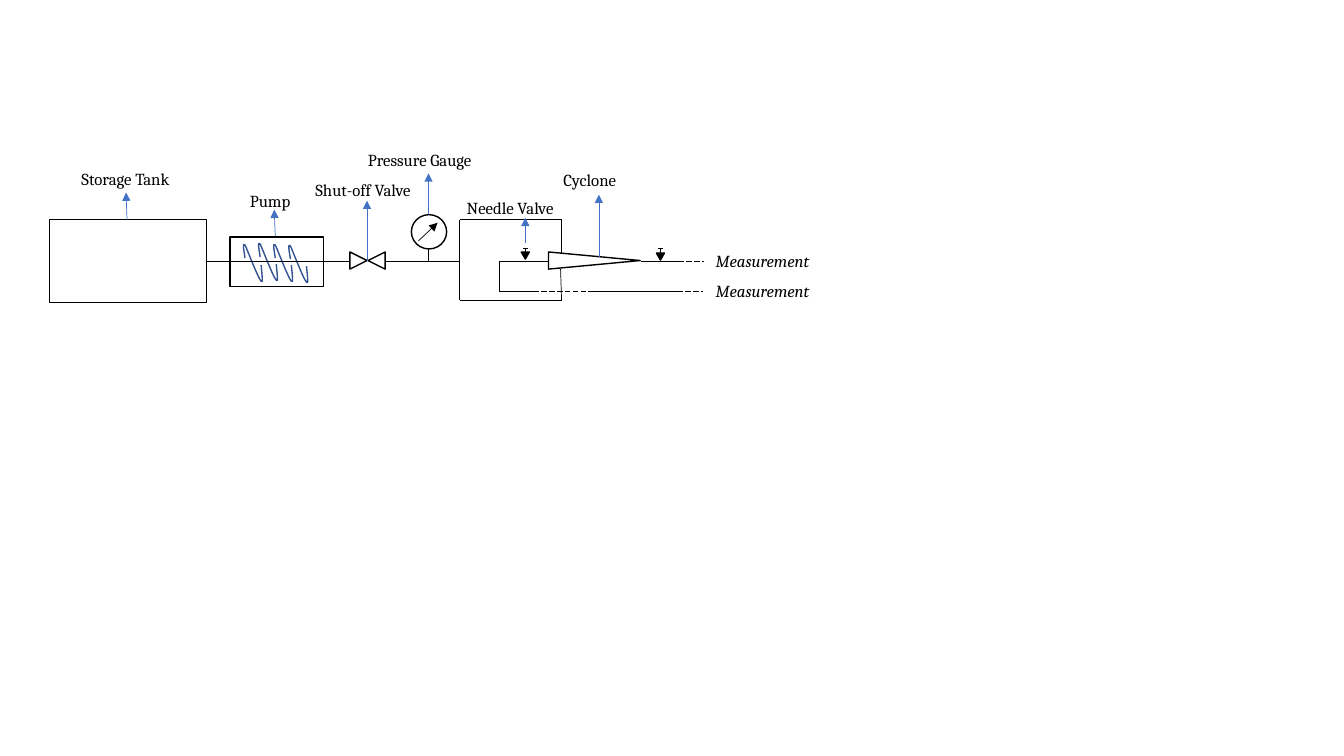
from dataclasses import dataclass

import pptx
import pptx.dml.color
import pptx.enum.dml
import pptx.enum.shapes
import pptx.enum.text
import pptx.oxml.ns
import pptx.util
from lxml import etree

Inches = pptx.util.Inches
Pt = pptx.util.Pt
qn = pptx.oxml.ns.qn
Preset = pptx.enum.shapes.MSO_SHAPE
Point = tuple[float, float]

BLACK, COIL_BLUE, POINTER_BLUE = "000000", "325491", "4472C4"
PIPE_Y, RETURN_Y = 2.59, 2.89


@dataclass
class Part:
    preset: Preset
    left: float
    top: float
    width: float
    height: float
    rotation: float = 0
    fill: str | None = None


@dataclass
class Line:
    start: Point
    end: Point
    color: str = BLACK
    arrow: bool = False
    dashed: bool = False


@dataclass
class Label:
    text: str
    left: float
    top: float
    width: float
    italic: bool = False


def rgb(color: str) -> pptx.dml.color.RGBColor:
    return pptx.dml.color.RGBColor.from_string(color)


def style_outline(shape, color: str, fill: str | None = None) -> None:
    shape.shadow.inherit = False
    if fill:
        shape.fill.solid()
        shape.fill.fore_color.rgb = rgb(fill)
    else:
        shape.fill.background()
    shape.line.color.rgb = rgb(color)
    shape.line.width = Pt(1)


def draw_part(shapes, part: Part) -> None:
    box = (Inches(v) for v in (part.left, part.top, part.width, part.height))
    shape = shapes.add_shape(part.preset, *box)
    shape.rotation = part.rotation
    style_outline(shape, BLACK, part.fill)


def draw_line(shapes, line: Line) -> None:
    connector = shapes.add_connector(
        pptx.enum.shapes.MSO_CONNECTOR.STRAIGHT,
        *(Inches(v) for v in (*line.start, *line.end)),
    )
    connector.line.color.rgb = rgb(line.color)
    connector.line.width = Pt(0.5)
    if line.dashed:
        connector.line.dash_style = pptx.enum.dml.MSO_LINE.LONG_DASH
    properties = connector.element.find(qn("p:spPr"))
    if line.arrow:
        etree.SubElement(properties.find(qn("a:ln")), qn("a:tailEnd"), type="triangle")
    etree.SubElement(properties, qn("a:effectLst"))


def draw_label(shapes, label: Label) -> None:
    box = shapes.add_textbox(
        Inches(label.left), Inches(label.top), Inches(label.width), Inches(0.3)
    )
    box.text_frame.word_wrap = True
    box.text_frame.auto_size = pptx.enum.text.MSO_AUTO_SIZE.SHAPE_TO_FIT_TEXT
    run = box.text_frame.paragraphs[0].add_run()
    run.text = label.text
    run.font.name = "Cambria"
    run.font.size = Pt(12)
    run.font.italic = label.italic
    run.font.color.rgb = rgb(BLACK)


def bend_segments(freeform) -> None:
    """Turn each three straight segments into one cubic curve."""
    segments = list(freeform.element.iter(qn("a:lnTo")))
    for first, second, third in zip(segments[::3], segments[1::3], segments[2::3]):
        curve = etree.Element(qn("a:cubicBezTo"))
        first.addprevious(curve)
        for segment in (first, second, third):
            curve.append(segment[0])
            segment.getparent().remove(segment)


def draw_coil(shapes, left: float, top: float) -> None:
    """One turn of the pump screw."""
    offsets = [(0.02, 0.14), (0.01, 0.06), (-0.01, -0.02), (0.02, 0.01), (0.04, 0.05),
               (0.15, 0.34), (0.18, 0.37), (0.2, 0.4), (0.19, 0.31), (0.18, 0.21)]
    start, *rest = [(Inches(left + x), Inches(top + y)) for x, y in offsets]
    builder = shapes.build_freeform(*start)
    builder.add_line_segments(rest, close=False)
    coil = builder.convert_to_shape()
    bend_segments(coil)
    style_outline(coil, COIL_BLUE)


def draw_small_valve(shapes, x: float, top: float) -> None:
    draw_part(shapes, Part(Preset.ISOSCELES_TRIANGLE, x - 0.04, top, 0.08, 0.07, 180, BLACK))
    draw_line(shapes, Line((x, top), (x, 2.46)))
    draw_line(shapes, Line((x - 0.02, 2.46), (x + 0.03, 2.46)))


PARTS = [
    Part(Preset.RECTANGLE, 0.49, 2.18, 1.56, 0.82),  # storage tank
    Part(Preset.RECTANGLE, 2.28, 2.35, 0.93, 0.49),  # pump
    Part(Preset.ISOSCELES_TRIANGLE, 3.47, 2.5, 0.17, 0.17, 90),  # shut-off valve
    Part(Preset.ISOSCELES_TRIANGLE, 3.65, 2.5, 0.17, 0.17, 270),
    Part(Preset.OVAL, 4.08, 2.13, 0.35, 0.34),  # pressure gauge
    Part(Preset.ISOSCELES_TRIANGLE, 5.81, 2.13, 0.17, 0.91, 90),  # cyclone
]

PIPES = [
    *(Line((x1, PIPE_Y), (x2, PIPE_Y)) for x1, x2 in
      [(2.05, 2.28), (2.28, 3.2), (3.2, 3.46), (3.82, 4.56), (4.95, 5.44), (6.36, 6.73)]),
    *(Line((x1, RETURN_Y), (x2, RETURN_Y)) for x1, x2 in [(4.95, 5.29), (5.84, 6.72)]),
    Line((4.95, PIPE_Y), (4.95, RETURN_Y)),
    Line((5.29, RETURN_Y), (5.84, RETURN_Y), dashed=True),
    Line((6.72, RETURN_Y), (6.97, RETURN_Y), dashed=True),
    Line((6.73, PIPE_Y), (6.98, PIPE_Y), dashed=True),
]

GAUGE = [
    Line((4.15, 2.39), (4.34, 2.21), arrow=True),
    Line((4.25, 2.46), (4.25, PIPE_Y)),
]

CHAMBER = [
    Line((4.56, 2.18), (4.56, 2.59)),
    Line((4.56, 2.57), (4.56, 2.98)),
    Line((4.56, 2.98), (5.57, 2.98)),
    Line((4.56, 2.18), (5.57, 2.18)),
    Line((5.56, 2.67), (5.57, 2.98)),
    Line((5.57, 2.18), (5.57, 2.51)),
]

POINTERS = [
    Line(start, end, POINTER_BLUE, arrow=True)
    for start, end in [
        ((1.26, 2.18), (1.25, 1.91)),
        ((2.73, 2.34), (2.72, 2.08)),
        ((3.64, 2.59), (3.64, 1.99)),
        ((4.25, 2.12), (4.25, 1.72)),
        ((5.21, 2.41), (5.21, 2.16)),
        ((5.94, 2.55), (5.94, 1.93)),
    ]
]

LABELS = [
    Label("Measurement", 7, 2.44, 1.2, italic=True),
    Label("Measurement", 7, 2.74, 1.19, italic=True),
    Label("Storage Tank", 0.71, 1.62, 1.27),
    Label("Pump", 2.38, 1.84, 0.7),
    Label("Shut-off Valve", 3.03, 1.73, 1.4),
    Label("Pressure Gauge", 3.55, 1.44, 1.48),
    Label("Needle Valve", 4.53, 1.91, 1.32),
    Label("Cyclone", 5.49, 1.63, 1.13),
]


def main() -> None:
    deck = pptx.Presentation()
    deck.slide_width, deck.slide_height = Inches(13.33), Inches(7.5)
    slide = deck.slides.add_slide(deck.slide_layouts[6])
    shapes = slide.shapes.add_group_shape().shapes
    for part in PARTS:
        draw_part(shapes, part)
    for turn, top in enumerate((2.42, 2.41, 2.42, 2.43)):
        draw_coil(shapes, 2.41 + 0.15 * turn, top)
    for line in PIPES + GAUGE + CHAMBER + POINTERS:
        draw_line(shapes, line)
    for valve_x, valve_top in ((5.21, 2.5), (6.55, 2.51)):
        draw_small_valve(shapes, valve_x, valve_top)
    for label in LABELS:
        draw_label(shapes, label)
    deck.save("out.pptx")


if __name__ == "__main__":
    main()
